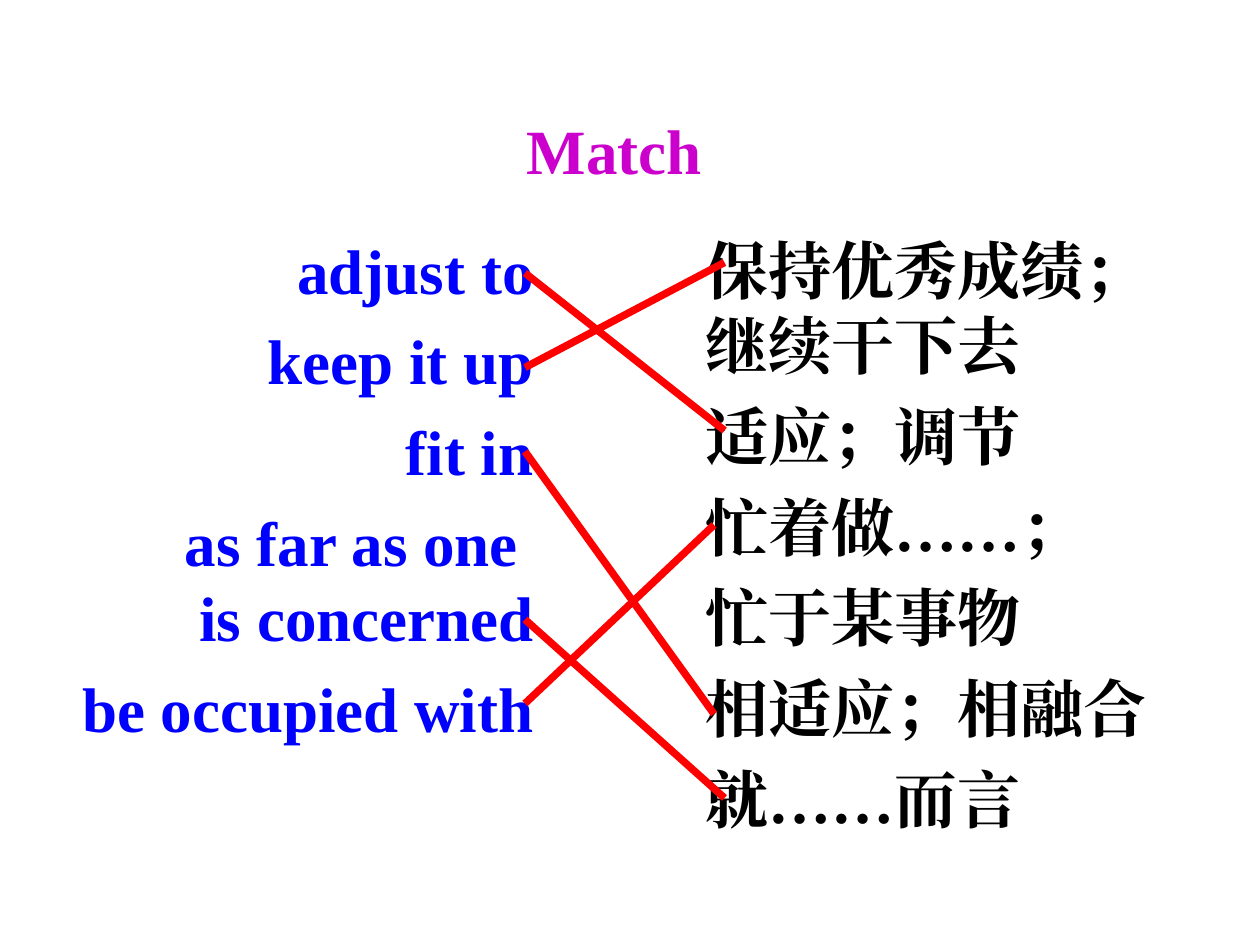
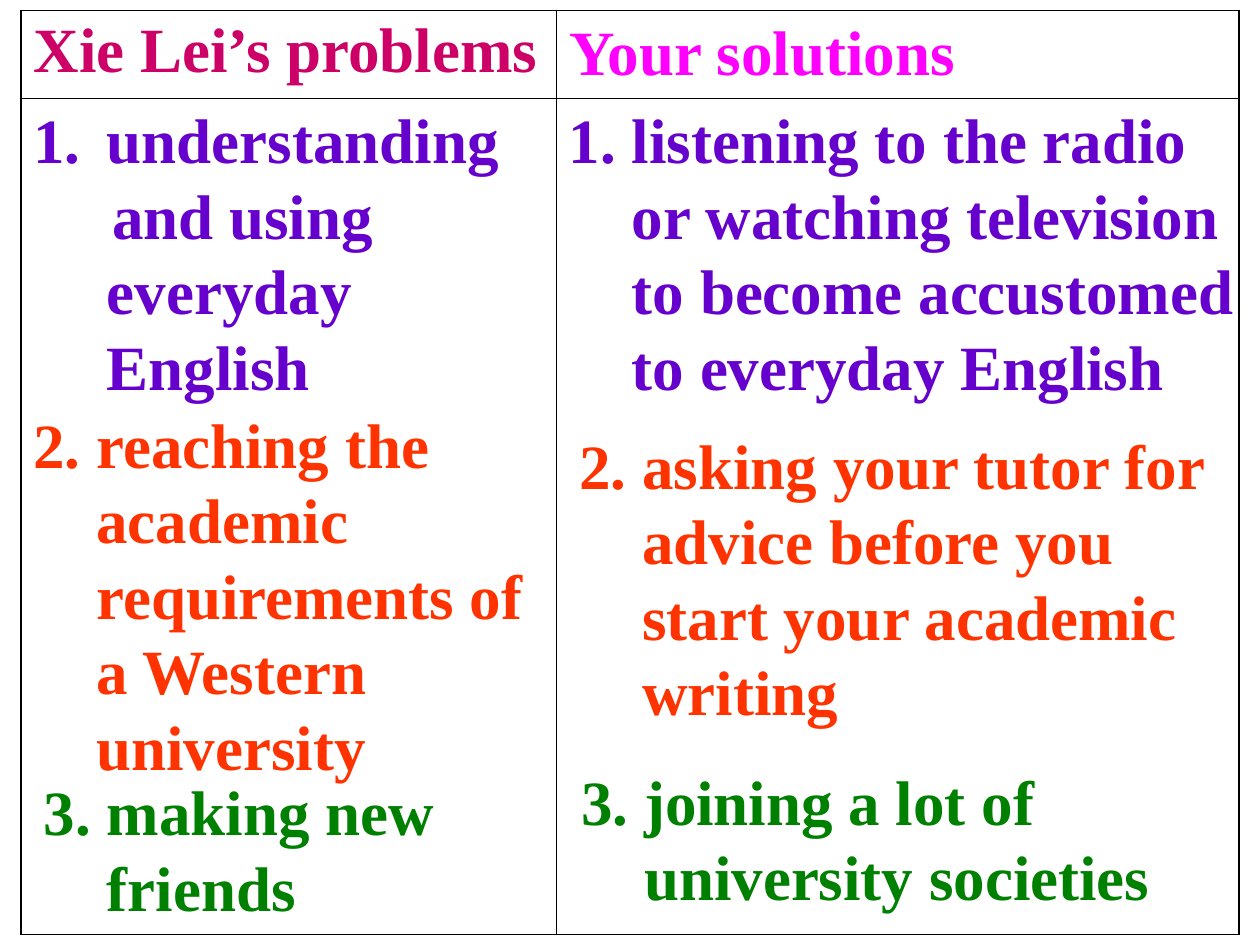
import pptx
import pptx.util
import pptx.dml.color
import pptx.enum.shapes
import pptx.enum.text
import pptx.oxml.ns
import lxml.etree

Pt = pptx.util.Pt
ALIGN = pptx.enum.text.PP_ALIGN
ANCHOR = pptx.enum.text.MSO_ANCHOR
FIT = pptx.enum.text.MSO_AUTO_SIZE


def color(text):
    return pptx.dml.color.RGBColor.from_string(text)


def child(parent, tag, **attrs):
    return lxml.etree.SubElement(parent, pptx.oxml.ns.qn(tag), attrs)


class Deck:
    """Shared style and the current slide."""
    font, size = "Times New Roman", 36
    blue, black, pink, red = "0000FF", "000000", "CC00CC", "FF0000"
    rose, bright = "CC0066", "FF00FF"
    violet, orange, green = "6600CC", "FF3300", "008000"
    white = "FFFFFF"

    def __init__(self):
        self.show = pptx.Presentation()
        self.show.slide_width, self.show.slide_height = Pt(720), Pt(540)
        self.slide = None

    def page(self):
        self.slide = self.show.slides.add_slide(self.show.slide_layouts[6])
        back = self.slide.background.fill
        back.solid()
        back.fore_color.rgb = color(self.white)

    def label(self, para, text, tint):
        run = para.add_run()
        run.text = text
        run.font.name, run.font.size = self.font, Pt(self.size)
        run.font.bold = True
        run.font.color.rgb = color(tint)
        child(run._r.get_or_add_rPr(), "a:ea", typeface=self.font)

    def box(self, place, lines, tint, fill=None, wrap=True, align=ALIGN.LEFT,
            tight=None):
        """Text box; if a tight line is named, the others are spread by 1.2."""
        shape = self.slide.shapes.add_textbox(*map(Pt, place))
        if fill:
            shape.fill.solid()
            shape.fill.fore_color.rgb = color(fill)
        frame = shape.text_frame
        frame.word_wrap = wrap
        frame.auto_size = FIT.NONE if fill else FIT.SHAPE_TO_FIT_TEXT
        for i, line in enumerate(lines):
            para = frame.paragraphs[0] if i == 0 else frame.add_paragraph()
            para.alignment = align
            if tight is not None and i != tight:
                para.line_spacing = 1.2
            self.label(para, line, tint)
        return frame

    def item(self, place, lines, tint, hang=36, inset=0, auto=False):
        """List item: first line hangs, later lines align with its text."""
        frame = self.box(place, lines, tint)
        for i, para in enumerate(frame.paragraphs):
            props = para._p.get_or_add_pPr()
            props.set("marL", str(Pt(hang)))
            props.set("indent", str(Pt(inset if i else -hang)))
            if auto and i == 0:
                child(props, "a:buFont", typeface=self.font)
                child(props, "a:buAutoNum", type="arabicPeriod")

    def link(self, start, end):
        kind = pptx.enum.shapes.MSO_CONNECTOR.STRAIGHT
        line = self.slide.shapes.add_connector(kind, *map(Pt, start + end))
        line.line.color.rgb = color(self.red)
        line.line.width = Pt(4.25)
        child(line._element.spPr, "a:effectLst")

    def edge(self, cell, widths):
        """Borders in the order left, right, top, bottom."""
        props = cell._tc.get_or_add_tcPr()
        for i, (side, width) in enumerate(zip("LRTB", widths)):
            line = child(props, "a:ln" + side, w=str(Pt(width)))
            paint = child(line, "a:solidFill")
            child(paint, "a:srgbClr", val=self.black)
            props.insert(i, line)

    def grid(self, place, cols, rows, heads):
        shape = self.slide.shapes.add_table(
            len(rows), len(cols), *map(Pt, place))
        table = shape.table
        table.first_row = table.horz_banding = False
        for col, width in zip(table.columns, cols):
            col.width = Pt(width)
        for row, height in zip(table.rows, rows):
            row.height = Pt(height)
        outer, inner = 1.08, 0.45
        for r in range(len(rows)):
            for c in range(len(cols)):
                cell = table.cell(r, c)
                cell.fill.background()
                ends = (c == 0, c == len(cols) - 1, r == 0, r == len(rows) - 1)
                self.edge(cell, [outer if end else inner for end in ends])
        for c, (text, tint, anchor) in enumerate(heads):
            cell = table.cell(0, c)
            cell.vertical_anchor = anchor
            self.label(cell.text_frame.paragraphs[0], text, tint)


def match(deck):
    deck.page()
    # Phrases and meanings
    deck.box((0, 120, 312, 360),
             ["adjust to", "keep it up", "fit in", "as far as one ",
              "is concerned", "be occupied with"],
             deck.blue, deck.white, align=ALIGN.RIGHT, tight=4)
    deck.box((396, 120, 294, 361.5),
             ["保持优秀成绩；", "继续干下去", "适应；调节", "忙着做……；",
              "忙于某事物", "相适应；相融合", "就……而言"],
             deck.black, deck.white, tight=1)
    deck.box((294, 60, 114.5, 50.4), ["Match"], deck.pink, wrap=False)
    # Answer lines
    for left, end in ((156, (414, 246)), (210, (414, 150)), (258, (408, 408)),
                      (354, (414, 456)), (402, (408, 300))):
        deck.link((300, left), end)


def advice(deck):
    deck.page()
    deck.grid((12, 6, 696, 528), (306, 390), (50.4, 477.6),
              [("Xie Lei’s problems", deck.rose, ANCHOR.TOP),
               ("Your solutions", deck.bright, ANCHOR.MIDDLE)])
    # Solutions
    deck.item((318, 54, 420, 180),
              ["listening to the radio", "or watching television",
               "to become accustomed", "to everyday English"],
              deck.violet, auto=True)
    deck.item((324, 240, 382, 180),
              ["2. asking your tutor for", "advice before you",
               "start your academic", "writing"], deck.orange)
    deck.item((325, 432, 377, 93.6),
              ["3. joining a lot of", "university societies"], deck.green)
    # Problems
    deck.item((12, 54, 288, 180),
              ["understanding", "and using everyday English"],
              deck.violet, hang=42, inset=3, auto=True)
    deck.item((12, 228, 305, 223),
              ["2. reaching the", "academic", "requirements of", "a Western",
               "university"], deck.orange)
    deck.item((18, 438, 250, 93.6),
              ["3. making new", "friends"], deck.green)


def main():
    deck = Deck()
    match(deck)
    advice(deck)
    deck.show.save("out.pptx")


if __name__ == "__main__":
    main()
